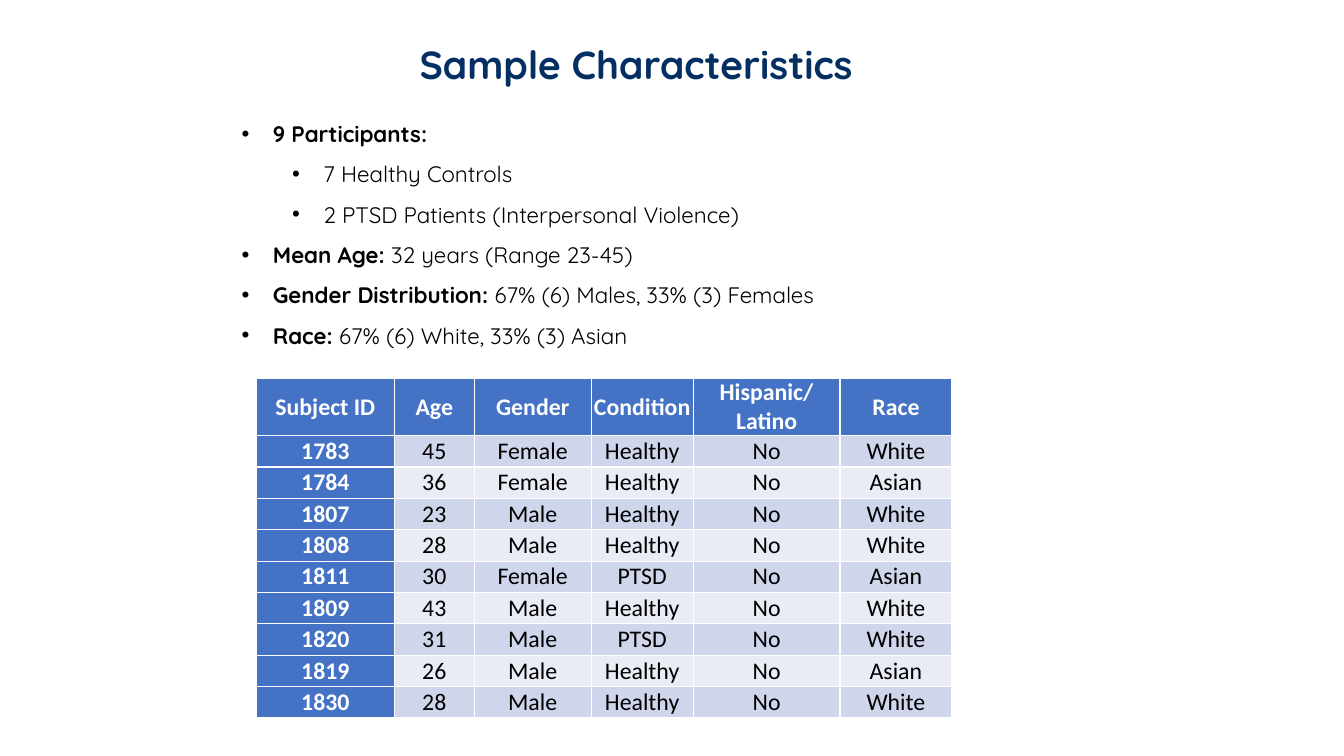
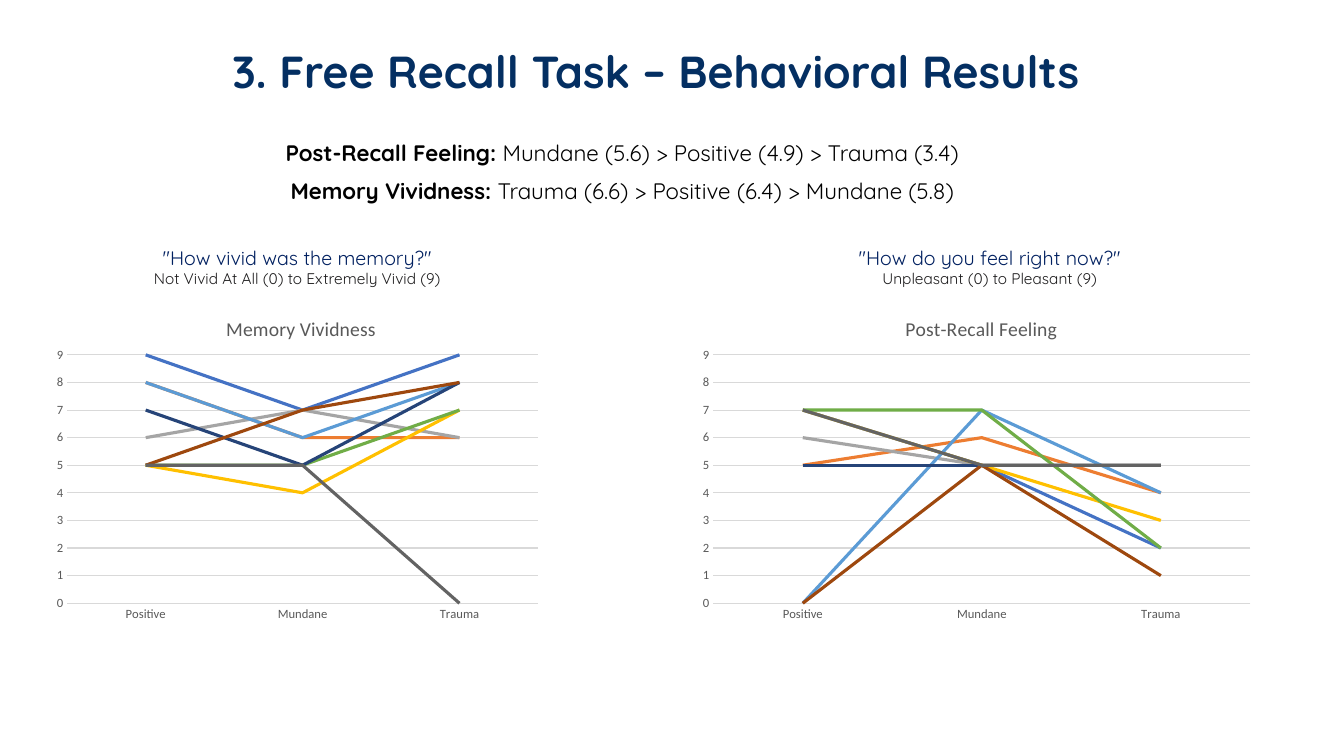
from lxml import etree
from pptx import Presentation
from pptx.chart.data import CategoryChartData
from pptx.dml.color import RGBColor
from pptx.enum.chart import XL_CHART_TYPE, XL_MARKER_STYLE, XL_TICK_MARK
from pptx.enum.text import MSO_ANCHOR, PP_ALIGN
from pptx.oxml.ns import qn
from pptx.util import Cm, Pt

LINE = XL_CHART_TYPE.LINE
NO_MARKER = XL_MARKER_STYLE.NONE
NO_TICK = XL_TICK_MARK.NONE
MIDDLE, TOP = MSO_ANCHOR.MIDDLE, MSO_ANCHOR.TOP
CENTER, LEFT = PP_ALIGN.CENTER, PP_ALIGN.LEFT

NAVY = RGBColor(0x04, 0x2F, 0x62)
QUOTE_BLUE = RGBColor(0x00, 0x20, 0x60)
INK = RGBColor(0x1D, 0x1C, 0x1D)
BLACK = RGBColor(0, 0, 0)
WHITE = RGBColor(0xFF, 0xFF, 0xFF)
HEADER_BLUE = RGBColor(0x44, 0x72, 0xC4)
BANDS = (RGBColor(0xCF, 0xD5, 0xEA), RGBColor(0xE9, 0xEB, 0xF5))
AXIS_GRAY = RGBColor(0x59, 0x59, 0x59)
GRID_GRAY = RGBColor(0xD9, 0xD9, 0xD9)
SERIES_COLORS = [RGBColor.from_string(c) for c in (
    "4472C4", "ED7D31", "A5A5A5", "FFC000", "5B9BD5",
    "70AD47", "264478", "9E480E", "636363")]

HEAD_FONT = "Quicksand"
DATA_FONT = "Calibri"

PARTICIPANTS = [
    (1, "9 Participants:", ""),
    (2, "", "7 Healthy Controls"),
    (2, "", "2 PTSD Patients (Interpersonal Violence)"),
    (1, "Mean Age: ", "32 years (Range 23-45)"),
    (1, "Gender Distribution: ", "67% (6) Males, 33% (3) Females"),
    (1, "Race: ", "67% (6) White, 33% (3) Asian"),
]
COLUMN_WIDTHS = (3.48, 2.01, 2.95, 2.57, 3.7, 2.82)
SUBJECTS = [
    ("Subject ID", "Age", "Gender", "Condition", "Hispanic/\nLatino", "Race"),
    ("1783", "45", "Female", "Healthy", "No", "White"),
    ("1784", "36", "Female", "Healthy", "No", "Asian"),
    ("1807", "23", "Male", "Healthy", "No", "White"),
    ("1808", "28", "Male", "Healthy", "No", "White"),
    ("1811", "30", "Female", "PTSD", "No", "Asian"),
    ("1809", "43", "Male", "Healthy", "No", "White"),
    ("1820", "31", "Male", "PTSD", "No", "White"),
    ("1819", "26", "Male", "Healthy", "No", "Asian"),
    ("1830", "28", "Male", "Healthy", "No", "White"),
]
FINDINGS = [
    ("Post-Recall Feeling: ", "Mundane (5.6) > Positive (4.9) > Trauma (3.4)"),
    ("Memory Vividness: ", "Trauma (6.6) > Positive (6.4) > Mundane (5.8)"),
]
CONDITIONS = ("Positive", "Mundane", "Trauma")
VIVIDNESS = [(9, 7, 9), (8, 6, 6), (6, 7, 6), (5, 4, 7), (8, 6, 8),
             (5, 5, 7), (7, 5, 8), (5, 7, 8), (5, 5, 0)]
FEELING = [(7, 5, 2), (5, 6, 4), (6, 5, 5), (7, 5, 3), (0, 7, 4),
           (7, 7, 2), (5, 5, 5), (0, 5, 1), (7, 5, 5)]


def set_font(font, name, size, color, bold=False):
    font.name, font.size, font.bold = name, Pt(size), bold
    font.color.rgb = color


def add_text_frame(s, box, anchor=TOP):
    tf = s.shapes.add_textbox(*map(Cm, box)).text_frame
    tf.word_wrap = True
    tf.vertical_anchor = anchor
    return tf


def add_paragraph(tf, index, runs, align=CENTER, spacing=1.0):
    p = tf.add_paragraph() if index else tf.paragraphs[0]
    p.alignment, p.line_spacing = align, spacing
    for text, size, color, bold in runs:
        if text:
            r = p.add_run()
            r.text = text
            set_font(r.font, HEAD_FONT, size, color, bold)
    return p


def add_title(s, box, text, size):
    tf = add_text_frame(s, box, MIDDLE)
    add_paragraph(tf, 0, [(text, size, NAVY, True)], spacing=0.9)


def add_bullets(s, box, items):
    tf = add_text_frame(s, box)
    for i, (level, label, text) in enumerate(items):
        p = add_paragraph(tf, i, [(label, 16, BLACK, True), (text, 16, BLACK, False)],
                          LEFT, 1.5)
        p.level = level
        pPr = p._p.get_or_add_pPr()
        pPr.set("marL", str(Cm(0.79 + 1.27 * level)))
        pPr.set("indent", str(Cm(-0.79)))
        etree.SubElement(pPr, qn("a:buFont")).set("typeface", "Arial")
        etree.SubElement(pPr, qn("a:buChar")).set("char", "•")


def add_findings(s, box, findings):
    tf = add_text_frame(s, box)
    for i, (label, text) in enumerate(findings):
        p = add_paragraph(tf, i, [(label, 16, BLACK, True), (text, 16, BLACK, False)],
                          spacing=0.9)
        if i:
            p.space_before = Pt(10)


def add_question(s, box, question, scale):
    tf = add_text_frame(s, box)
    add_paragraph(tf, 0, [(question, 14, QUOTE_BLUE, False)])
    add_paragraph(tf, 1, [(scale, 11, INK, False)])


def add_subject_table(s, left, top, rows):
    header_height, row_height = 1.45, 0.79
    height = header_height + row_height * (len(rows) - 1)
    table = s.shapes.add_table(len(rows), len(COLUMN_WIDTHS), Cm(left), Cm(top),
                               Cm(sum(COLUMN_WIDTHS)), Cm(height)).table
    table.first_col = True
    for column, width in zip(table.columns, COLUMN_WIDTHS):
        column.width = Cm(width)
    for i, values in enumerate(rows):
        table.rows[i].height = Cm(row_height if i else header_height)
        for j, value in enumerate(values):
            cell = table.cell(i, j)
            heading = i == 0 or j == 0
            cell.margin_left = cell.margin_right = 0
            cell.margin_top = cell.margin_bottom = 0
            cell.vertical_anchor = MIDDLE
            cell.fill.solid()
            cell.fill.fore_color.rgb = HEADER_BLUE if heading else BANDS[(i - 1) % 2]
            cell.text_frame.text = value
            for p in cell.text_frame.paragraphs:
                p.alignment = CENTER
                set_font(p.runs[0].font, DATA_FONT, 17, WHITE if heading else BLACK, heading)


def set_layout(element, index, **fractions):
    for old in element.findall(qn("c:layout")):
        element.remove(old)
    layout = etree.Element(qn("c:layout"))
    manual = etree.SubElement(layout, qn("c:manualLayout"))
    if "w" in fractions:
        etree.SubElement(manual, qn("c:layoutTarget")).set("val", "inner")
    for axis in ("x", "y"):
        etree.SubElement(manual, qn(f"c:{axis}Mode")).set("val", "edge")
    for key, value in fractions.items():
        etree.SubElement(manual, qn(f"c:{key}")).set("val", str(value))
    element.insert(index, layout)


def add_rating_chart(s, box, title, title_x, ratings):
    data = CategoryChartData()
    data.categories = CONDITIONS
    for i, values in enumerate(ratings, 1):
        data.add_series(f"Series {i}", values)
    chart = s.shapes.add_chart(LINE, *map(Cm, box), data).chart
    set_font(chart.font, DATA_FONT, 10, BLACK)
    chart.has_legend = False
    chart.has_title = True
    tf = chart.chart_title.text_frame
    tf.text = title
    set_font(tf.paragraphs[0].runs[0].font, DATA_FONT, 14, AXIS_GRAY)
    chart.chart_title.include_in_layout = False
    set_layout(chart.chart_title._element, 1, x=title_x, y=0.05)
    set_layout(chart._chartSpace.chart.plotArea, 0, x=0.04, y=0.18, w=0.94, h=0.74)
    chart.plots[0].vary_by_categories = False

    for axis in (chart.category_axis, chart.value_axis):
        axis.major_tick_mark = axis.minor_tick_mark = NO_TICK
        set_font(axis.tick_labels.font, DATA_FONT, 9, AXIS_GRAY)
    value_axis = chart.value_axis
    value_axis.minimum_scale, value_axis.maximum_scale = 0, 9
    value_axis.major_unit = 1
    value_axis.format.line.fill.background()
    for line in (chart.category_axis.format.line, value_axis.major_gridlines.format.line):
        line.color.rgb, line.width = GRID_GRAY, Pt(0.75)
    for series, color in zip(chart.plots[0].series, SERIES_COLORS):
        series.smooth = False
        series.marker.style = NO_MARKER
        series.format.line.color.rgb = color
        series.format.line.width = Pt(2.25)


def build_sample_slide(s):
    add_title(s, (5.72, 0, 20.62, 3.35), "Sample Characteristics", 28)
    add_subject_table(s, 6.46, 9.53, SUBJECTS)
    add_bullets(s, (4.57, 2.57, 22.2, 6.27), PARTICIPANTS)


def build_recall_slide(s):
    add_title(s, (-0.28, 0.2, 33.63, 3.35), "3. Free Recall Task – Behavioral Results", 32)
    add_findings(s, (2.64, 3.45, 26.09, 2.08), FINDINGS)
    add_question(s, (1.73, 6.07, 11.53, 1.37), '"How vivid was the memory?"',
                 "Not Vivid At All (0) to Extremely Vivid (9)")
    add_question(s, (20.6, 6.07, 8.69, 1.37), '"How do you feel right now?"',
                 "Unpleasant (0) to Pleasant (9)")
    add_rating_chart(s, (1.19, 7.42, 12.62, 8.46), "Memory Vividness", 0.35, VIVIDNESS)
    add_rating_chart(s, (17.4, 7.42, 14.4, 8.46), "Post-Recall Feeling", 0.37, FEELING)


def main():
    prs = Presentation()
    prs.slide_width, prs.slide_height = Cm(33.87), Cm(19.05)
    for build in (build_sample_slide, build_recall_slide):
        build(prs.slides.add_slide(prs.slide_layouts[6]))
    prs.save("out.pptx")


if __name__ == "__main__":
    main()
